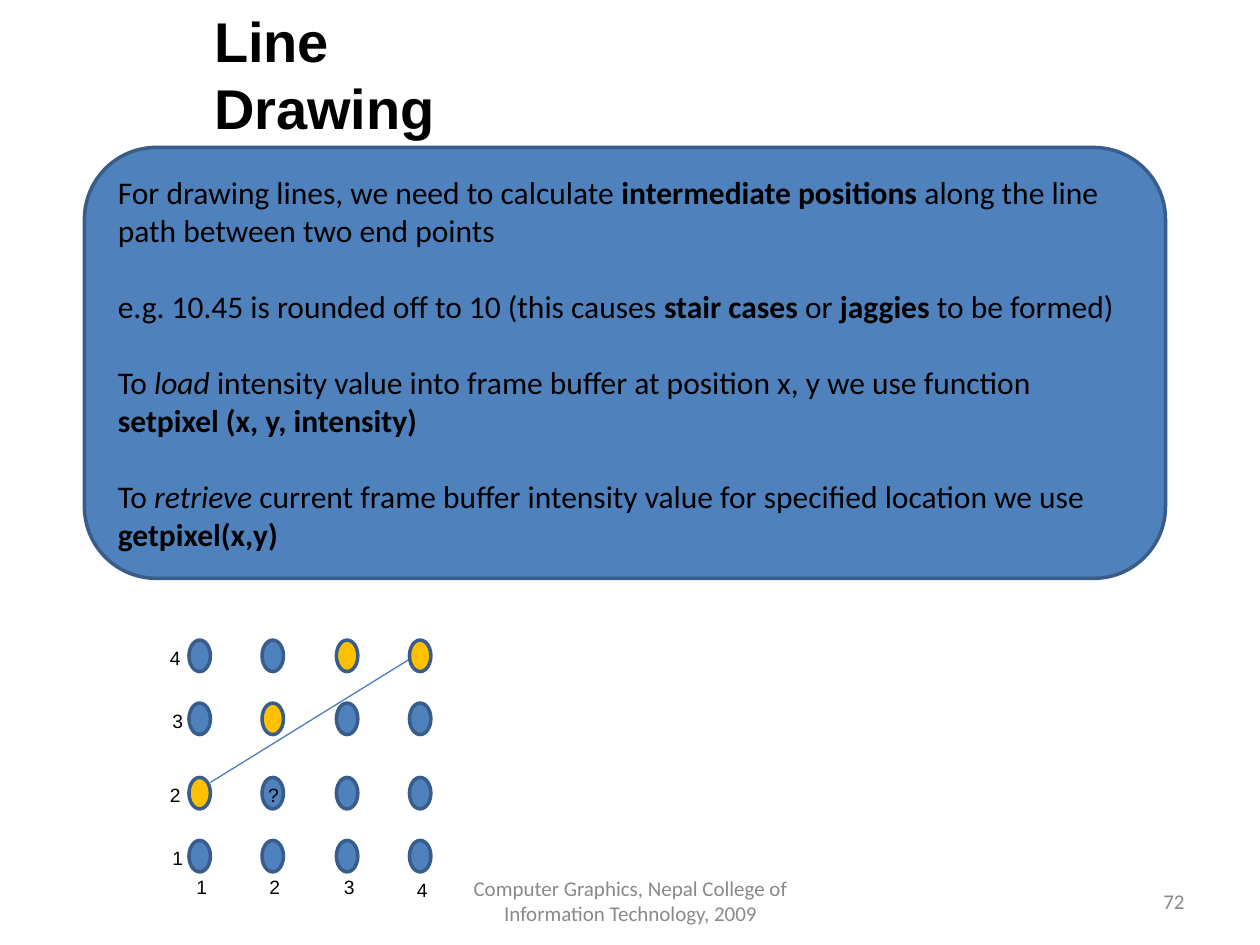
from dataclasses import dataclass, field
from typing import Any

import pptx
import pptx.dml.color
import pptx.enum.shapes
import pptx.enum.text
import pptx.oxml
import pptx.util

RGB = pptx.dml.color.RGBColor
SHAPE = pptx.enum.shapes.MSO_SHAPE
ALIGN = pptx.enum.text.PP_ALIGN
ANCHOR = pptx.enum.text.MSO_ANCHOR

PX = 9144  # EMU in one px, 100 px to the inch
BLUE = RGB(0x4F, 0x81, 0xBD)
NAVY = RGB(0x38, 0x5D, 0x8A)
STEEL = RGB(0x4A, 0x7E, 0xBB)
GOLD = RGB(0xFF, 0xC0, 0x00)
BLACK = RGB(0, 0, 0)
GREY = RGB(0x89, 0x89, 0x89)

Area = tuple[int, int, int, int]
BOLD = {"bold": True}
SLANT = {"italic": True}


@dataclass(frozen=True)
class Run:
    text: str
    style: dict[str, Any] = field(default_factory=dict)


@dataclass(frozen=True)
class Para:
    runs: tuple[Run, ...]
    gap: int = 0


@dataclass(frozen=True)
class Label:
    text: str
    area: Area
    font: dict[str, Any]
    frame: dict[str, Any]
    align: ALIGN = ALIGN.LEFT


BODY = {"name": "Calibri", "size": pptx.util.Pt(18)}
HEAD = {"name": "Arial", "size": pptx.util.Pt(32), "bold": True}
TICK = {"name": "Arial", "size": pptx.util.Pt(11)}
FOOT = {"name": "Calibri", "size": pptx.util.Pt(12)}
LOOSE = {"word_wrap": False, "vertical_anchor": ANCHOR.TOP}
FIXED = {"word_wrap": True, "vertical_anchor": ANCHOR.MIDDLE}

NOTES = (
    Para((Run("For drawing lines, we need to calculate "),
          Run("intermediate positions ", BOLD),
          Run("along the line path between two end points"))),
    Para((Run("e.g. 10.45 is rounded off to 10 (this causes "),
          Run("stair cases ", BOLD), Run("or "), Run("jaggies", BOLD),
          Run(" to be formed)")), 22),
    Para((Run("To "), Run("load", SLANT),
          Run(" intensity value into frame buffer at position x, y "
              "we use function")), 22),
    Para((Run("setpixel (x, y, intensity)", BOLD),)),
    Para((Run("To "), Run("retrieve", SLANT),
          Run(" current frame buffer intensity value for specified "
              "location we use "),
          Run("getpixel(x,y)", BOLD)), 22),
)

# Left edge of each column and top edge of each row, from 1 to 4
COLS = (150, 208, 267, 325)
ROWS = (667, 617, 558, 508)
LIT = ((1, 2), (2, 3), (3, 4), (4, 4))
TICKS = (
    *((str(i), x - 4, 692 if i == 4 else 690) for i, x in enumerate(COLS, 1)),
    *((str(i), 125 + 2 * (i % 2), y) for i, y in enumerate(ROWS, 1)),
    ("?", 203, 617),
)
LABELS = (
    Label("Line Drawing", (160, 0, 299, 117), HEAD, LOOSE),
    Label("Computer Graphics, Nepal College of Information Technology, 2009",
          (342, 695, 317, 40), FOOT, FIXED, ALIGN.CENTER),
    Label("72", (717, 695, 233, 40), FOOT, FIXED, ALIGN.RIGHT),
    *(Label(text, (x, y, 28, 29), TICK, LOOSE) for text, x, y in TICKS),
)


def scale(*sizes: int) -> list[pptx.util.Emu]:
    return [pptx.util.Emu(size * PX) for size in sizes]


def format(target: Any, values: dict[str, Any]) -> None:
    for name, value in values.items():
        setattr(target, name, value)


def add_form(slide: Any, kind: SHAPE, area: Area, fill: RGB) -> Any:
    form = slide.shapes.add_shape(kind, *scale(*area))
    form.shadow.inherit = False
    form.fill.solid()
    form.fill.fore_color.rgb = fill
    form.line.color.rgb = NAVY
    form.line.width = pptx.util.Pt(2)
    return form


def add_panel(slide: Any) -> None:
    panel = add_form(slide, SHAPE.ROUNDED_RECTANGLE, (67, 117, 858, 342), BLUE)
    frame = panel.text_frame
    format(frame, FIXED)
    for i, note in enumerate(NOTES):
        para = frame.add_paragraph() if i else frame.paragraphs[0]
        para.alignment = ALIGN.LEFT
        if note.gap:
            para.space_before = pptx.util.Pt(note.gap)
        for part in note.runs:
            run = para.add_run()
            run.text = part.text
            format(run.font, BODY | part.style)
            run.font.color.rgb = BLACK


def add_label(slide: Any, label: Label) -> None:
    frame = slide.shapes.add_textbox(*scale(*label.area)).text_frame
    format(frame, label.frame)
    para = frame.paragraphs[0]
    para.alignment = label.align
    run = para.add_run()
    run.text = label.text
    format(run.font, label.font)
    run.font.color.rgb = GREY if label.font is FOOT else BLACK


def add_dots(slide: Any, lit: bool) -> None:
    """Draw either the lit or the unlit pixels of the grid."""
    for row, y in enumerate(ROWS, 1):
        for col, x in enumerate(COLS, 1):
            if ((col, row) in LIT) == lit:
                add_form(slide, SHAPE.OVAL, (x, y, 17, 25),
                         GOLD if lit else BLUE)


def add_line(slide: Any) -> None:
    line = slide.shapes.add_connector(
        pptx.enum.shapes.MSO_CONNECTOR.STRAIGHT, *scale(167, 621, 327, 522))
    line.line.color.rgb = STEEL
    line.line.width = pptx.util.Pt(0.75)
    line._element.spPr.append(pptx.oxml.parse_xml(
        '<a:effectLst xmlns:a='
        '"http://schemas.openxmlformats.org/drawingml/2006/main"/>'))


def main() -> None:
    deck = pptx.Presentation()
    deck.slide_width, deck.slide_height = scale(1000, 750)
    slide = deck.slides.add_slide(deck.slide_layouts[6])
    add_panel(slide)
    add_dots(slide, False)
    add_line(slide)
    add_dots(slide, True)
    for label in LABELS:
        add_label(slide, label)
    deck.save("out.pptx")


if __name__ == "__main__":
    main()
